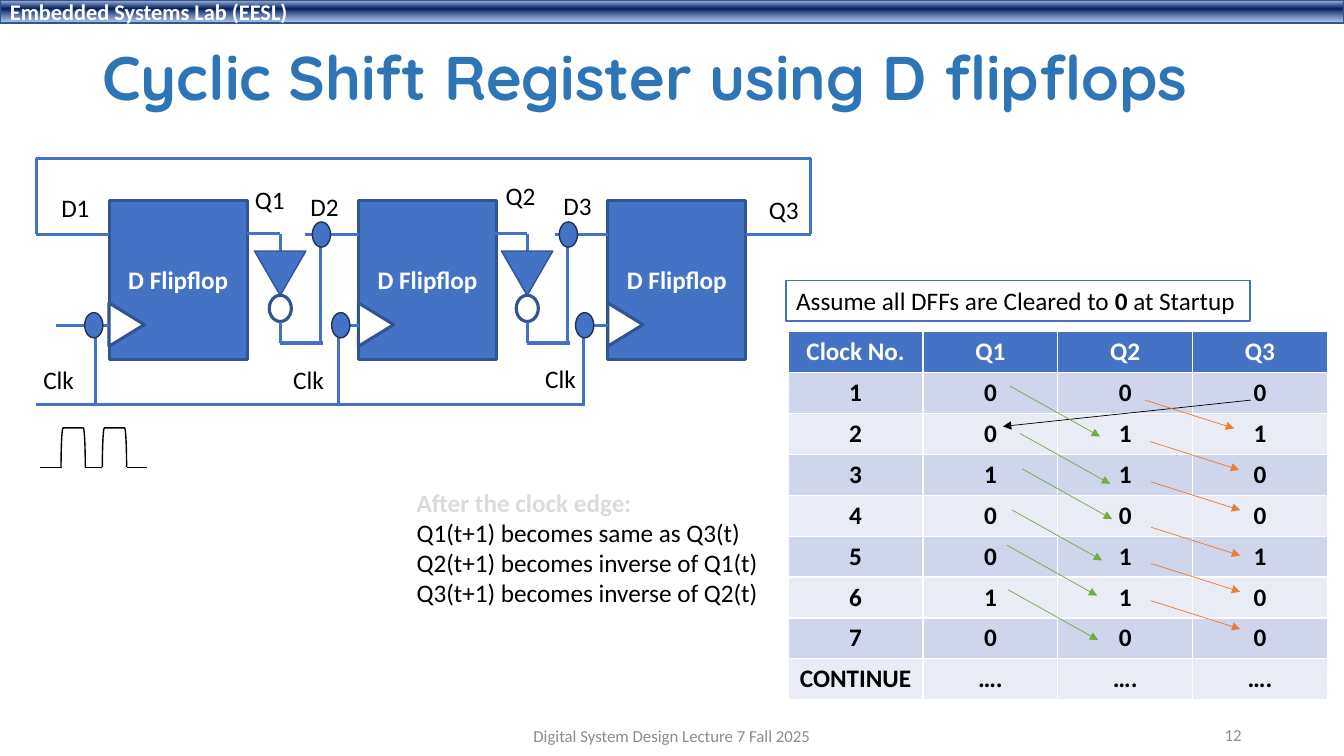
from dataclasses import dataclass
from itertools import pairwise

from lxml import etree
from pptx import Presentation
from pptx.dml.color import RGBColor
from pptx.enum.shapes import MSO_CONNECTOR, MSO_SHAPE
from pptx.enum.text import MSO_ANCHOR, PP_ALIGN
from pptx.oxml.ns import qn
from pptx.util import Pt

RECT, OVAL = MSO_SHAPE.RECTANGLE, MSO_SHAPE.OVAL
TRIANGLE, BRACKET = MSO_SHAPE.ISOSCELES_TRIANGLE, MSO_SHAPE.LEFT_BRACKET
STRAIGHT = MSO_CONNECTOR.STRAIGHT
LEFT, CENTER, RIGHT = PP_ALIGN.LEFT, PP_ALIGN.CENTER, PP_ALIGN.RIGHT
TOP, MIDDLE = MSO_ANCHOR.TOP, MSO_ANCHOR.MIDDLE


@dataclass(frozen=True)
class Theme:
    body_font: str = "Calibri"
    title_font: str = "Quicksand"
    title_size: int = 44
    body_size: int = 18
    bar_size: int = 16
    footer_size: int = 12
    white: str = "FFFFFF"
    black: str = "000000"
    title: str = "2E75B6"
    blue: str = "4472C4"
    edge: str = "325491"
    dot_edge: str = "1E3256"
    gray: str = "8C8C8C"
    faded: str = "DBDBDB"
    green: str = "70AD47"
    orange: str = "ED7D31"
    bands: tuple = ("CFD5EA", "E9EBF5")
    bar_stops: tuple = ((2, "ABC0E4", 100), (38, "002060", 100), (93, "7E9ED6", 64))


T = Theme()

ROWS = [
    ("Clock No.", "Q1", "Q2", "Q3"),
    ("1", "0", "0", "0"),
    ("2", "0", "1", "1"),
    ("3", "1", "1", "0"),
    ("4", "0", "0", "0"),
    ("5", "0", "1", "1"),
    ("6", "1", "1", "0"),
    ("7", "0", "0", "0"),
    ("CONTINUE", "….", "….", "…."),
]
LABELS = [
    ("D1", 36.7, 133.9), ("Q1", 175, 128.2), ("D2", 214.6, 133.2),
    ("Q2", 354.2, 125.3), ("D3", 395.3, 132.5), ("Q3", 542.2, 135.4),
    ("Clk", 23.8, 257), ("Clk", 202.3, 257), ("Clk", 382.3, 256.3),
]
GREEN_STARTS = [(721.4, 275.8), (728.6, 309.6), (730, 334.8),
                (722.9, 364.3), (719.3, 389.5), (720, 421.2)]
ORANGE_STARTS = [(817.9, 285.8), (821.5, 315.4), (822.2, 344.2),
                 (822.2, 376.6), (822.2, 402.5), (822.2, 429.1)]
DATA_Y, CLOCK_Y, BUS_Y, FEEDBACK_Y = 167.5, 232.3, 288.7, 113
LEFT_X, RIGHT_X = 26, 579


def rgb(color):
    return RGBColor.from_string(color)


def style(p, size=T.body_size, color=T.black, bold=False, font=T.body_font, align=LEFT):
    p.alignment = align
    for r in p.runs:
        r.font.name, r.font.size, r.font.bold = font, Pt(size), bold
        r.font.color.rgb = rgb(color)


def add_text(s, text, x, y, w, h, wrap=False, anchor=TOP, **look):
    tf = s.shapes.add_textbox(Pt(x), Pt(y), Pt(w), Pt(h)).text_frame
    tf.word_wrap, tf.vertical_anchor = wrap, anchor
    tf.text = text
    for p in tf.paragraphs:
        style(p, **look)
    return tf


def add_box(s, kind, x, y, w, h, fill, line, width, rotation=0):
    sp = s.shapes.add_shape(kind, Pt(x), Pt(y), Pt(w), Pt(h))
    sp.shadow.inherit = False
    sp.rotation = rotation
    if fill:
        sp.fill.solid()
        sp.fill.fore_color.rgb = rgb(fill)
    else:
        sp.fill.background()
    sp.line.color.rgb, sp.line.width = rgb(line), Pt(width)
    return sp


def add_wire(s, *points, color=T.blue, width=2.25, arrow=False):
    for (x1, y1), (x2, y2) in pairwise(points):
        c = s.shapes.add_connector(STRAIGHT, Pt(x1), Pt(y1), Pt(x2), Pt(y2))
        c.line.color.rgb, c.line.width = rgb(color), Pt(width)
        props = c.element.spPr
        if arrow:
            etree.SubElement(props.find(qn("a:ln")), qn("a:tailEnd"), type="triangle")
        etree.SubElement(props, qn("a:effectLst"))


def add_dot(s, x, y):
    add_box(s, OVAL, x - 6.5, y - 9, 13, 18, T.blue, T.dot_edge, 1)


def add_header_bar(s):
    sp = add_box(s, RECT, 0, 0, 960, 16.5, T.blue, T.edge, 1)
    sp.fill.gradient()
    grad = sp.element.spPr.find(qn("a:gradFill"))
    stops = grad.find(qn("a:gsLst"))
    for stop in list(stops):
        stops.remove(stop)
    for pos, color, alpha in T.bar_stops:
        stop = etree.SubElement(stops, qn("a:gs"), pos=str(pos * 1000))
        clr = etree.SubElement(stop, qn("a:srgbClr"), val=color)
        etree.SubElement(clr, qn("a:alpha"), val=str(alpha * 1000))
    grad.find(qn("a:lin")).set("ang", "5400000")
    tf = sp.text_frame
    tf.text, tf.vertical_anchor = "Embedded Systems Lab (EESL)", MIDDLE
    style(tf.paragraphs[0], T.bar_size, T.white, True)


def add_flipflop(s, x, y):
    sp = add_box(s, RECT, x, y, 98.6, 113.8, T.blue, T.edge, 2.25)
    tf = sp.text_frame
    tf.text, tf.vertical_anchor = "D Flipflop", MIDDLE
    style(tf.paragraphs[0], color=T.white, bold=True, align=CENTER)
    add_box(s, TRIANGLE, x - 3, y + 76.3, 31, 25.2, T.white, T.edge, 2.25, 90)


def add_inverter(s, x):
    add_wire(s, (x - 24, 167), (x, 167), (x, 179.3))
    add_box(s, TRIANGLE, x - 18.4, 179.3, 36.7, 31.7, T.blue, T.edge, 1, 180)
    add_box(s, OVAL, x - 9.35, 212.4, 18.7, 15.8, None, T.edge, 2.25, 90)
    add_wire(s, (x, 229.7), (x, 245), (x + 30.4, 245))
    add_wire(s, (x + 28.8, 245), (x + 28.8, 167))


def add_circuit(s):
    for i in range(3):
        x = 78 + 178.1 * i
        add_flipflop(s, x, 143)
        add_wire(s, (x - 38, DATA_Y), (x, DATA_Y))
        add_wire(s, (x, CLOCK_Y), (x - (38, 20, 23)[i], CLOCK_Y))
    add_wire(s, (532.8, DATA_Y), (RIGHT_X, DATA_Y), (RIGHT_X, FEEDBACK_Y),
             (LEFT_X, FEEDBACK_Y), (LEFT_X, DATA_Y), (46.8, DATA_Y))
    add_wire(s, (LEFT_X, BUS_Y), (418, BUS_Y))
    for x in (68.4, 242, 417):
        add_wire(s, (x, BUS_Y), (x, CLOCK_Y))
    for x in (200.2, 376.6):
        add_inverter(s, x)
        add_dot(s, x + 29.4, DATA_Y)
    for x in (67, 243.4, 417.6):
        add_dot(s, x, CLOCK_Y)
    for text, x, y in LABELS:
        add_text(s, text, x, y, 40 if text == "Clk" else 36, 29)


def add_clock_pulses(s):
    for x in (38.2, 67.7):
        add_box(s, BRACKET, x, 311, 28.1, 17.3, None, T.black, 1, 90)
    for x1, x2 in ((28.8, 44), (61, 72.7), (90.7, 105)):
        add_wire(s, (x1, 334), (x2, 334), color=T.black, width=1)


def add_state_table(s):
    tbl = s.shapes.add_table(len(ROWS), 4, Pt(563), Pt(237), Pt(385.2), Pt(262.8)).table
    for i, row in enumerate(ROWS):
        for j, text in enumerate(row):
            cell = tbl.cell(i, j)
            cell.text = text
            cell.fill.solid()
            cell.fill.fore_color.rgb = rgb(T.bands[(i - 1) % 2] if i else T.blue)
            style(cell.text_frame.paragraphs[0], color=T.black if i else T.white,
                  bold=True, align=CENTER)


def add_state_arrows(s):
    add_wire(s, (893.5, 285.8), (716.4, 304.6), color=T.black, width=0.5, arrow=True)
    for starts, dx, dy, color in ((GREEN_STARTS, 64.4, 36, T.green),
                                  (ORANGE_STARTS, 63.7, 20.2, T.orange)):
        for x, y in starts:
            add_wire(s, (x, y), (x + dx, y + dy), color=color, width=0.5, arrow=True)


def add_startup_note(s):
    sp = add_box(s, RECT, 561.6, 200.2, 331.2, 29, T.white, T.blue, 1)
    tf = sp.text_frame
    tf.word_wrap, tf.vertical_anchor = False, TOP
    p = tf.paragraphs[0]
    p.text = "Assume all DFFs are Cleared to "
    for text in ("0", " at Startup"):
        p.add_run().text = text
    style(p)
    p.runs[1].font.bold = True


def main():
    prs = Presentation()
    prs.slide_width, prs.slide_height = Pt(960), Pt(540)
    s = prs.slides.add_slide(prs.slide_layouts[6])
    add_header_bar(s)
    title = add_text(s, "Cyclic Shift Register using D flipflops", 66, 22.5, 828, 70,
                     wrap=True, anchor=MIDDLE, size=T.title_size, color=T.title,
                     bold=True, font=T.title_font)
    title.paragraphs[0].line_spacing = 0.9
    add_startup_note(s)
    add_state_table(s)
    add_text(s, "12", 678, 510.5, 216, 28.8, wrap=True, anchor=MIDDLE,
             size=T.footer_size, color=T.gray, align=RIGHT)
    add_text(s, "Digital System Design Lecture 7 Fall 2025", 318, 511, 324, 28.8,
             wrap=True, anchor=MIDDLE, size=T.footer_size, color=T.gray, align=CENTER)
    rules = add_text(s, "After the clock edge:\nQ1(t+1) becomes same as Q3(t)\n"
                     "Q2(t+1) becomes inverse of Q1(t)\nQ3(t+1) becomes inverse of Q2(t)",
                     290.5, 344.2, 265, 94.3)
    style(rules.paragraphs[0], color=T.faded, bold=True)
    add_state_arrows(s)
    add_circuit(s)
    add_clock_pulses(s)
    prs.save("out.pptx")


if __name__ == "__main__":
    main()
